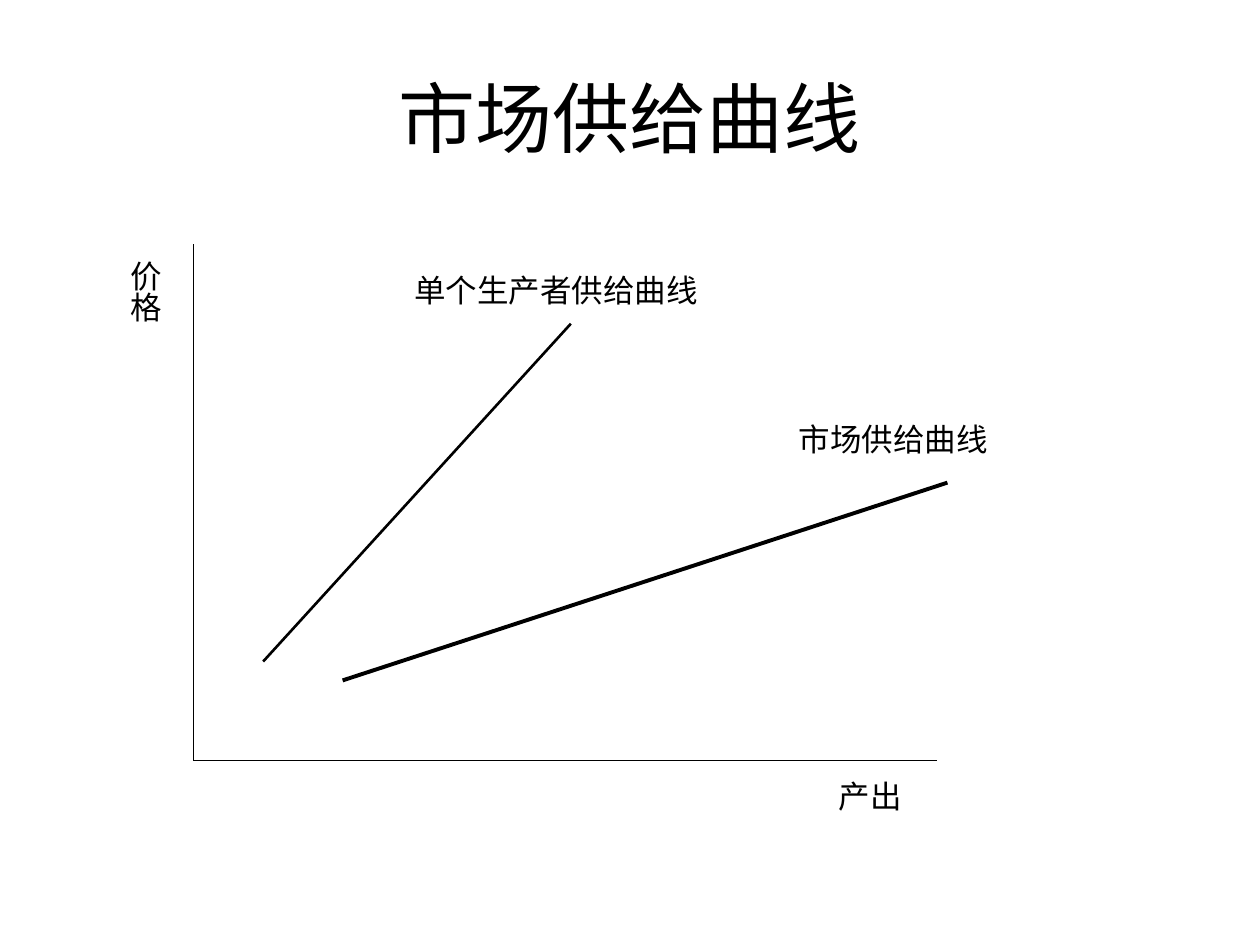
import pptx
import pptx.dml.color
import pptx.enum.shapes
import pptx.enum.text
import pptx.oxml
import pptx.oxml.ns
import pptx.util

Pt = pptx.util.Pt
ALIGN = pptx.enum.text.PP_ALIGN
ANCHOR = pptx.enum.text.MSO_ANCHOR
FONT = "Arial"
BLACK = "000000"

TITLE = ("市场供给曲线", (36, 21.6, 648, 90))

# text, (left, top, width, height), vertical
LABELS = [
    ("产出", (472.3, 440.6, 50.4, 28.8), False),
    ("价格", (61.2, 141.8, 36, 43.2), True),
    ("单个生产者供给曲线", (229.7, 151.2, 176.4, 28.8), False),
    ("市场供给曲线", (449.3, 236.2, 122.4, 28.8), False),
]

ORIGIN = (110.4, 434.4)

# start, end, line width
LINES = [
    ((ORIGIN[0], 139.7), ORIGIN, 0.75),
    (ORIGIN, (535.7, ORIGIN[1]), 0.75),
    ((150.4, 378), (326.2, 185), 1.5),
    ((195.8, 388.8), (541.4, 275.8), 2.25),
]


def color(value):
    return pptx.dml.color.RGBColor.from_string(value)


def add_text(slide, text, box, size=18, align=ALIGN.LEFT, anchor=ANCHOR.TOP,
             wrap=False, vertical=False):
    shape = slide.shapes.add_textbox(*map(Pt, box))
    frame = shape.text_frame
    frame.word_wrap = wrap
    frame.vertical_anchor = anchor
    if not wrap:
        frame.auto_size = pptx.enum.text.MSO_AUTO_SIZE.SHAPE_TO_FIT_TEXT
    side, end = (3.6, 7.2) if vertical else (7.2, 3.6)
    frame.margin_left = frame.margin_right = Pt(side)
    frame.margin_top = frame.margin_bottom = Pt(end)
    if vertical:
        frame._txBody.bodyPr.set("vert", "eaVert")
    paragraph = frame.paragraphs[0]
    paragraph.alignment = align
    run = paragraph.add_run()
    run.text = text
    run.font.name = FONT
    run.font.size = Pt(size)
    run.font.color.rgb = color(BLACK)


def add_line(slide, start, end, width):
    line = slide.shapes.add_connector(
        pptx.enum.shapes.MSO_CONNECTOR.STRAIGHT, *map(Pt, start + end))
    line.line.color.rgb = color(BLACK)
    line.line.width = Pt(width)
    line._element.spPr.append(pptx.oxml.parse_xml(
        f"<a:effectLst {pptx.oxml.ns.nsdecls('a')}/>"))


def main():
    presentation = pptx.Presentation()
    presentation.slide_width = Pt(720)
    presentation.slide_height = Pt(540)
    slide = presentation.slides.add_slide(presentation.slide_layouts[6])

    add_text(slide, *TITLE, size=44, align=ALIGN.CENTER,
             anchor=ANCHOR.MIDDLE, wrap=True)
    for start, end, width in LINES:
        add_line(slide, start, end, width)
    for text, box, vertical in LABELS:
        add_text(slide, text, box, vertical=vertical)

    presentation.save("out.pptx")


if __name__ == "__main__":
    main()
